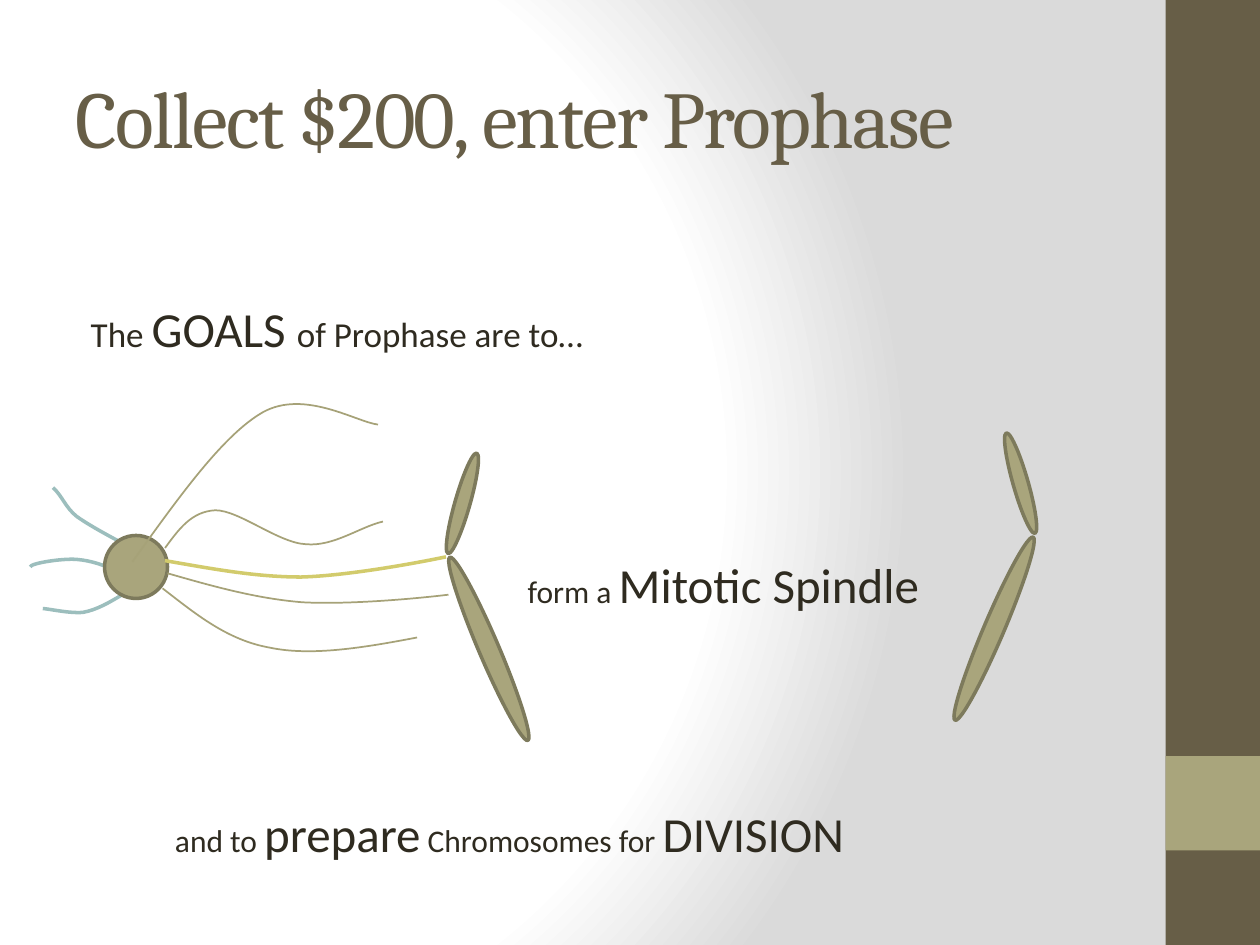
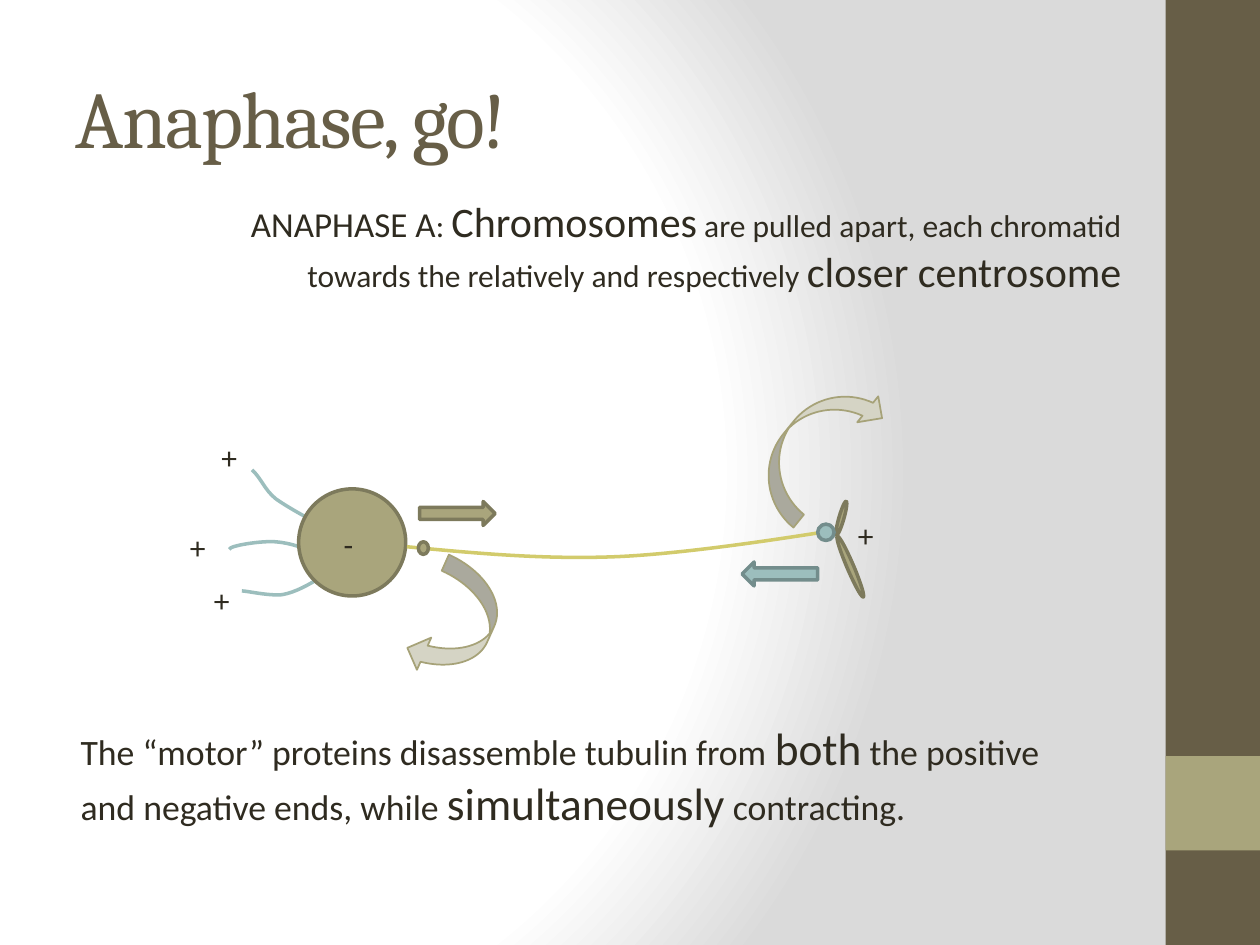
from pptx import Presentation
from pptx.dml.color import RGBColor
from pptx.enum.shapes import MSO_SHAPE
from pptx.enum.text import MSO_ANCHOR, MSO_AUTO_SIZE, PP_ALIGN
from pptx.oxml import parse_xml
from pptx.oxml.ns import nsdecls, qn
from pptx.util import Inches, Pt
from lxml import etree

RECTANGLE, OVAL = MSO_SHAPE.RECTANGLE, MSO_SHAPE.OVAL
LEFT_ARROW, RIGHT_ARROW = MSO_SHAPE.LEFT_ARROW, MSO_SHAPE.RIGHT_ARROW
CURVED_ARROW = MSO_SHAPE.CURVED_DOWN_ARROW
LEFT, RIGHT = PP_ALIGN.LEFT, PP_ALIGN.RIGHT
TOP, MIDDLE = MSO_ANCHOR.TOP, MSO_ANCHOR.MIDDLE
NO_FIT = MSO_AUTO_SIZE.NONE

COLORS = {
    "white": "FFFFFF", "grey": "DADADA", "brown": "675E47", "ink": "2F2B20",
    "olive": "A9A57C", "olive edge": "7D7A5C", "fiber": "A6A278",
    "teal": "9CBEBD", "teal edge": "738D8C", "yellow": "D2CB6C", "pale": "D5D4C5",
}
HEADING_FONT, BODY_FONT = "Cambria", "Calibri"
BODY_INSET = 0.22

# Each curve is a start point followed by control, control, end triples
ASTERS = [
    [(0.97, 4.31), (0.84, 4.24), (0.71, 4.17), (0.61, 4.1),
     (0.52, 4.03), (0.49, 3.93), (0.42, 3.87)],
    [(0.94, 4.54), (0.84, 4.49), (0.73, 4.45), (0.61, 4.44),
     (0.5, 4.43), (0.24, 4.47), (0.24, 4.5)],
    [(0.97, 4.72), (0.87, 4.78), (0.77, 4.84), (0.66, 4.86),
     (0.55, 4.87), (0.38, 4.83), (0.34, 4.83)],
]
FIBERS = [
    [(1.05, 4.46), (1.41, 3.96), (1.77, 3.45), (2.09, 3.27),
     (2.42, 3.09), (2.83, 3.35), (3, 3.37)],
    [(1.31, 4.35), (1.42, 4.2), (1.52, 4.06), (1.71, 4.05), (1.9, 4.05),
     (2.21, 4.31), (2.43, 4.32), (2.65, 4.34), (2.86, 4.18), (3.04, 4.14)],
    [(1.29, 4.67), (1.55, 4.87), (1.8, 5.08), (2.14, 5.14),
     (2.47, 5.21), (2.89, 5.14), (3.31, 5.06)],
    [(1.33, 4.55), (1.68, 4.65), (2.03, 4.75), (2.4, 4.78),
     (2.77, 4.8), (3.31, 4.75), (3.56, 4.72)],
]
ATTACHED_FIBER = [(1.31, 4.45), (1.66, 4.51), (2.02, 4.58), (2.39, 4.58),
                  (2.76, 4.57), (3.3, 4.47), (3.54, 4.42)]
PULLING_FIBER = [(3.23, 4.34), (3.76, 4.39), (4.29, 4.44), (4.86, 4.42),
                 (5.42, 4.4), (6.24, 4.27), (6.62, 4.21)]

# Chromatid arms, from the kinetochore: offset x, offset y, width, height, angle
ARMS = [(0.115, -0.415, 0.12, 0.83, 15.9), (0.325, 0.74, 0.16, 1.58, -23.1)]


class SlideBuilder:
    def __init__(self):
        self.deck = Presentation()
        self.deck.slide_width, self.deck.slide_height = Inches(10), Inches(7.5)
        self.page = None

    def color(self, name):
        return RGBColor.from_string(COLORS[name])

    def start(self, title):
        self.page = self.deck.slides.add_slide(self.deck.slide_layouts[5])
        self.backdrop()
        self.shape(RECTANGLE, 9.25, 0, 0.75, 7.5, "brown")
        self.shape(RECTANGLE, 9.25, 6, 0.75, 0.75, "olive")
        box = self.page.shapes.title
        box.left, box.top, box.width, box.height = map(Inches, (0.5, 0.3, 8.33, 1.25))
        span = self.fill_text(box, [(title, 46)], LEFT, MIDDLE, HEADING_FONT, "brown")
        span.font._element.set("spc", "-100")

    def backdrop(self):
        self.page.background.fill.gradient()
        old = self.page.element.find(".//" + qn("a:gradFill"))
        stops = "".join(
            f'<a:gs pos="{place * 1000}"><a:srgbClr val="{COLORS[name]}"/></a:gs>'
            for place, name in [(0, "white"), (75, "white"), (100, "grey")])
        new = parse_xml(
            f'<a:gradFill {nsdecls("a")} rotWithShape="1"><a:gsLst>{stops}</a:gsLst>'
            '<a:path path="circle"><a:fillToRect l="20000" t="50000" r="100000" b="50000"/>'
            '</a:path></a:gradFill>')
        old.getparent().replace(old, new)

    def fill_text(self, box, spans, align, anchor, font, color):
        frame = box.text_frame
        frame.word_wrap, frame.auto_size = True, NO_FIT
        frame.vertical_anchor = anchor
        para = frame.paragraphs[0]
        para.alignment = align
        for words, size in spans:
            span = para.add_run()
            span.text = words
            span.font.name, span.font.size = font, Pt(size)
            span.font.color.rgb = self.color(color)
        return span

    def text(self, left, top, width, height, spans, align=LEFT, inset=0.1):
        box = self.page.shapes.add_textbox(*map(Inches, (left, top, width, height)))
        box.text_frame.margin_left = Inches(inset)
        self.fill_text(box, spans, align, TOP, BODY_FONT, "ink")

    def style_line(self, shape, color, weight):
        shape.line.color.rgb = self.color(color)
        shape.line.width = Pt(weight)

    def shape(self, kind, left, top, width, height, fill, edge=None, weight=2, angle=0):
        shape = self.page.shapes.add_shape(kind, *map(Inches, (left, top, width, height)))
        shape.shadow.inherit = False
        shape.rotation = angle
        shape.fill.solid()
        shape.fill.fore_color.rgb = self.color(fill)
        if edge:
            self.style_line(shape, edge, weight)
        else:
            shape.line.fill.background()

    def curve(self, points, color, weight, shift=(0, 0)):
        spots = [(Inches(x + shift[0]), Inches(y + shift[1])) for x, y in points]
        builder = self.page.shapes.build_freeform(*spots[0])
        builder.add_line_segments(spots[1:], close=False)
        shape = builder.convert_to_shape()
        shape.shadow.inherit = False
        shape.fill.background()
        self.style_line(shape, color, weight)
        # Join every three straight segments into one cubic curve
        segments = list(shape.element.iter(qn("a:lnTo")))
        outline = segments[0].getparent()
        for first in range(0, len(segments), 3):
            cubic = etree.SubElement(outline, qn("a:cubicBezTo"))
            for segment in segments[first:first + 3]:
                cubic.append(segment[0])
                outline.remove(segment)

    def asters(self, shift=(0, 0)):
        for points in ASTERS:
            self.curve(points, "teal", 2, shift)

    def chromatid(self, x, y, side=1, scale=1.0):
        for dx, dy, width, height, angle in ARMS:
            width, height = width * scale, height * scale
            self.shape(OVAL, x + side * dx * scale - width / 2, y + dy * scale - height / 2,
                       width, height, "olive", "olive edge", angle=side * angle)


def prophase(slide):
    slide.start("Collect $200, enter Prophase")
    slide.asters()

    # Goals
    slide.text(0.5, 2.32, 4.92, 0.76, [
        ("The ", 20), ("GOALS ", 28), ("of Prophase are to…", 20)], inset=BODY_INSET)
    slide.text(4.09, 4.35, 3.83, 0.57, [("form a ", 18), ("Mitotic Spindle", 28)])
    slide.text(1.29, 6.33, 6.6, 0.57, [
        ("and to ", 18), ("prepare", 28), (" Chromosomes for ", 18), ("DIVISION", 28)])

    # Centrosome, fibers and chromatids
    slide.shape(OVAL, 0.83, 4.25, 0.5, 0.5, "olive", "olive edge")
    for points in FIBERS:
        slide.curve(points, "fiber", 1)
    slide.chromatid(8.215, 4.25, side=-1)
    slide.chromatid(3.555, 4.41)
    slide.curve(ATTACHED_FIBER, "yellow", 2)


def anaphase(slide):
    slide.start("Anaphase, go!")

    # Explanations
    slide.text(0.42, 5.67, 8.33, 0.92, [
        ("The “motor” proteins disassemble tubulin from ", 20.4), ("both", 25.9),
        (" the positive and negative ends, while ", 20.4), ("simultaneously", 25.9),
        (" contracting.", 20.4)], inset=BODY_INSET)
    slide.text(1.67, 1.5, 7.33, 0.91, [
        ("ANAPHASE A", 20), (": ", 18), ("Chromosomes", 24),
        (" are pulled apart, each chromatid towards the relatively and respectively ", 18),
        ("closer centrosome", 24)], RIGHT)

    # Centrosome, fiber and charges
    slide.asters(shift=(1.58, -0.14))
    slide.shape(OVAL, 2.37, 3.88, 0.85, 0.85, "olive", "olive edge")
    slide.curve(PULLING_FIBER, "yellow", 2)
    for sign, left, top in [("-", 2.63, 4.12), ("+", 1.66, 3.43), ("+", 1.41, 4.14),
                            ("+", 1.6, 4.56), ("+", 6.71, 4.05)]:
        slide.text(left, top, 0.33, 0.4, [(sign, 18)])

    # Chromatid and motor proteins
    slide.chromatid(6.64, 4.25, scale=1 / 3)
    slide.shape(OVAL, 3.32, 4.3, 0.08, 0.1, "olive", "olive edge")
    slide.shape(OVAL, 6.49, 4.16, 0.13, 0.13, "teal", "teal edge")

    # Directions of movement
    slide.shape(CURVED_ARROW, 5.86, 3.27, 1.25, 0.53, "pale", "fiber", 1, 309)
    slide.shape(CURVED_ARROW, 3.15, 4.67, 0.95, 0.56, "pale", "fiber", 1, 114)
    slide.shape(LEFT_ARROW, 5.89, 4.46, 0.6, 0.19, "teal", "teal edge")
    slide.shape(RIGHT_ARROW, 3.33, 3.98, 0.6, 0.19, "olive", "olive edge")


def main():
    slide = SlideBuilder()
    prophase(slide)
    anaphase(slide)
    slide.deck.save("out.pptx")


if __name__ == "__main__":
    main()
